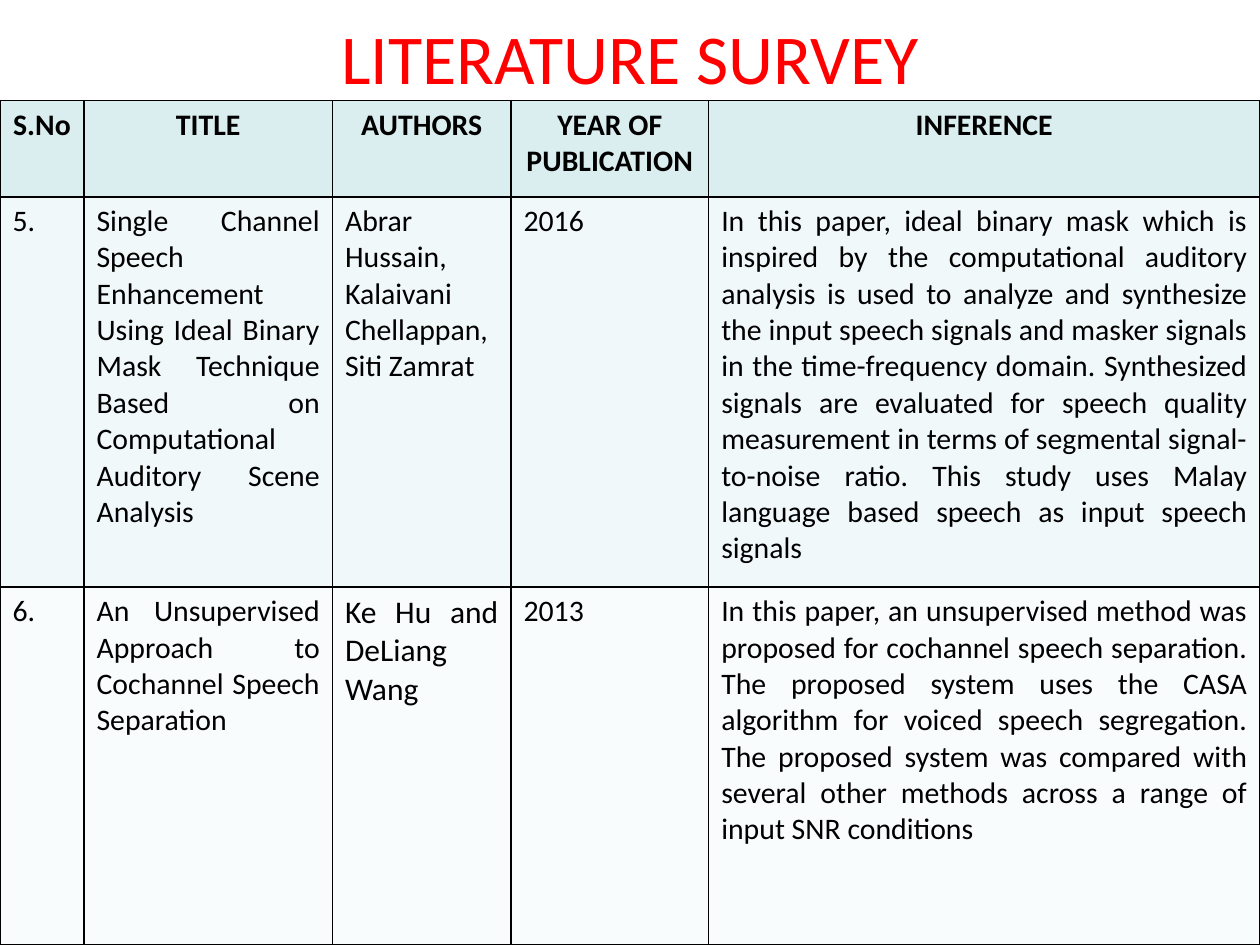
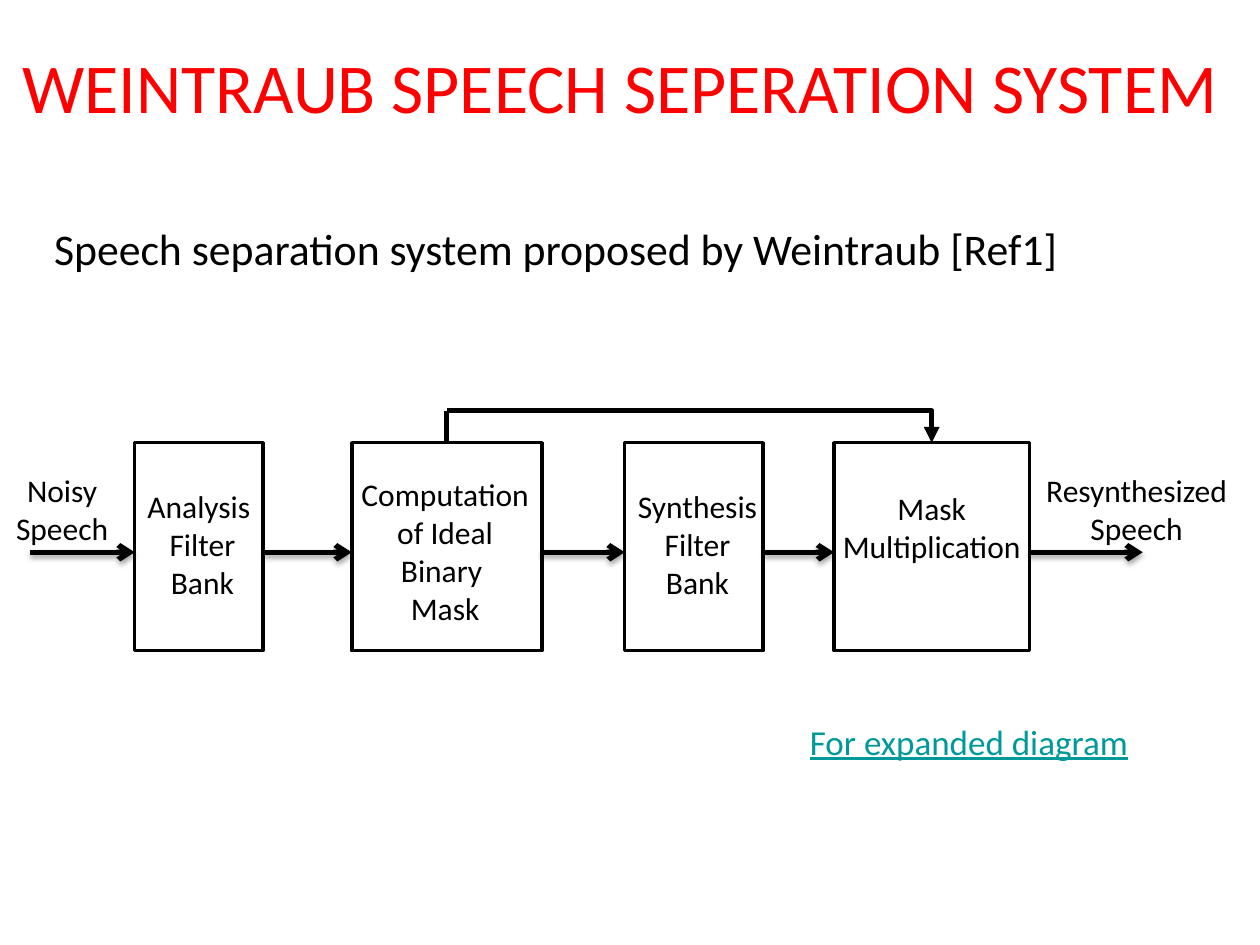
from lxml import etree
from pptx import Presentation
from pptx.dml.color import RGBColor
from pptx.enum.shapes import MSO_CONNECTOR as Connector, MSO_SHAPE as Shape
from pptx.enum.text import MSO_ANCHOR as Anchor, PP_ALIGN as Align
from pptx.oxml import parse_xml
from pptx.oxml.ns import qn
from pptx.util import Pt

BLACK = RGBColor(0x00, 0x00, 0x00)
WHITE = RGBColor(0xFF, 0xFF, 0xFF)
TITLE_RED = RGBColor(0xFF, 0x00, 0x00)
LINK_TEAL = RGBColor(0x00, 0x99, 0x99)
ROW_FILLS = [RGBColor(0xDA, 0xED, 0xEF), RGBColor(0xF1, 0xF8, 0xF9), RGBColor(0xF8, 0xFC, 0xFC)]
FONT = "Calibri"
DRAWING = 'xmlns:a="http://schemas.openxmlformats.org/drawingml/2006/main"'
BORDER = ('<a:{side} {ns} w="12700"><a:solidFill><a:srgbClr val="000000"/></a:solidFill></a:{side}>')
SHADOW = (f'<a:effectLst {DRAWING}><a:outerShdw blurRad="39370" dist="22860" dir="5400000" rotWithShape="0">'
          '<a:srgbClr val="000000"><a:alpha val="35000"/></a:srgbClr></a:outerShdw></a:effectLst>')
NO_EFFECT = f'<a:effectLst {DRAWING}/>'


def write(text_frame, text, size, color=BLACK, align=Align.CENTER, bold=False, underline=False):
    """Fill a text frame, one paragraph a line, in a single style."""
    text_frame.word_wrap = True
    text_frame.text = text
    for paragraph in text_frame.paragraphs:
        paragraph.alignment = align
        for run in paragraph.runs:
            run.font.name = FONT
            run.font.size = Pt(size)
            run.font.color.rgb = color
            run.font.bold = bold
            run.font.underline = underline


def style_line(connector, head=None, effect=NO_EFFECT):
    """Draw a connector black and 3 pt wide, with an optional arrowhead."""
    connector.line.color.rgb = BLACK
    connector.line.width = Pt(3)
    if head:
        etree.SubElement(connector.line._get_or_add_ln(), qn("a:tailEnd"), type=head)
    connector._element.spPr.append(parse_xml(effect))


presentation = Presentation()
presentation.slide_width = Pt(720)
presentation.slide_height = Pt(540)
blank = presentation.slide_layouts[6]

# Titles
slides = []
for title, left, top, width, height in [
    ("LITERATURE SURVEY", 36, -12.6, 648, 90),
    ("WEINTRAUB SPEECH SEPERATION SYSTEM", 2.2, 21.4, 704, 55.4),
]:
    slide = presentation.slides.add_slide(blank)
    title_box = slide.shapes.add_textbox(Pt(left), Pt(top), Pt(width), Pt(height))
    write(title_box.text_frame, title, 40, TITLE_RED)
    title_box.text_frame.word_wrap = False
    title_box.text_frame.vertical_anchor = Anchor.MIDDLE
    slides.append(slide)
survey_slide, system_slide = slides

# Literature survey table
survey_rows = [
    ["S.No", "TITLE", "AUTHORS", "YEAR OF PUBLICATION", "INFERENCE"],
    [
        "5.",
        "Single Channel Speech Enhancement Using Ideal Binary Mask Technique "
        "Based on Computational Auditory Scene Analysis",
        "Abrar Hussain, Kalaivani Chellappan, Siti Zamrat",
        "2016",
        "In this paper, ideal binary mask which is inspired by the computational auditory "
        "analysis is used to analyze and synthesize the input speech signals and masker "
        "signals in the time-frequency domain. Synthesized signals are evaluated for speech "
        "quality measurement in terms of segmental signal-to-noise ratio. This study uses "
        "Malay language based speech as input speech signals",
    ],
    [
        "6.",
        "An Unsupervised Approach to Cochannel Speech Separation",
        "Ke Hu and DeLiang Wang",
        "2013",
        "In this paper, an unsupervised method was proposed for cochannel speech separation. "
        "The proposed system uses the CASA algorithm for voiced speech segregation. The "
        "proposed system was compared with several other methods across a range of input "
        "SNR conditions",
    ],
]
column_widths = [48, 142, 102, 113, 315]
row_heights = [55, 223, 204.5]
table = survey_slide.shapes.add_table(
    len(survey_rows), len(column_widths), Pt(0), Pt(57.5), Pt(720), Pt(sum(row_heights))).table
for column, width in zip(table.columns, column_widths):
    column.width = Pt(width)
for row_index, (row, height) in enumerate(zip(table.rows, row_heights)):
    row.height = Pt(height)
    is_header = row_index == 0
    for cell, text in zip(row.cells, survey_rows[row_index]):
        size = 18 if text.startswith("Ke Hu") else 17
        write(cell.text_frame, text, size, bold=is_header,
              align=Align.CENTER if is_header else Align.JUSTIFY)
        properties = cell._tc.get_or_add_tcPr()
        for side in ("lnL", "lnR", "lnT", "lnB"):
            properties.append(parse_xml(BORDER.format(side=side, ns=DRAWING)))
        cell.fill.solid()
        cell.fill.fore_color.rgb = ROW_FILLS[row_index]

# Text around the block diagram
for text, left, top, width, height, size, color, align in [
    ("Speech separation system proposed by Weintraub [Ref1]",
     23.8, 123.4, 648, 38, 25, BLACK, Align.LEFT),
    ("For expanded diagram", 455.7, 408, 216, 32, 20, LINK_TEAL, Align.LEFT),
    ("Noisy Speech", -6.5, 265.7, 84, 51, 18, BLACK, Align.CENTER),
    ("Resynthesized Speech", 581, 265.7, 137, 51, 18, BLACK, Align.CENTER),
]:
    text_box = system_slide.shapes.add_textbox(Pt(left), Pt(top), Pt(width), Pt(height))
    write(text_box.text_frame, text, size, color, align, underline=color == LINK_TEAL)

# Processing stages; shift and lift move a label right and up inside its box
STAGE_TOP, STAGE_HEIGHT, SIDE_MARGIN = 253, 118.8, 4
stages = []
for label, left, width, shift, lift in [
    ("Analysis \nFilter\nBank", 77, 73.4, 2, 3),
    ("Computation of Ideal Binary \nMask", 201, 108.7, -1, -5),
    ("Synthesis \nFilter\nBank", 357, 79.2, 2, 3),
    ("Mask\nMultiplication", 476.6, 111.6, 0, 23),
]:
    stage = system_slide.shapes.add_shape(
        Shape.RECTANGLE, Pt(left), Pt(STAGE_TOP), Pt(width), Pt(STAGE_HEIGHT))
    stage.shadow.inherit = False
    stage.fill.solid()
    stage.fill.fore_color.rgb = WHITE
    stage.line.color.rgb = BLACK
    stage.line.width = Pt(2)
    text_frame = stage.text_frame
    write(text_frame, label, 18)
    text_frame.vertical_anchor = Anchor.MIDDLE
    text_frame.margin_left = Pt(SIDE_MARGIN + shift)
    text_frame.margin_right = Pt(SIDE_MARGIN - shift)
    text_frame.margin_top = Pt(max(-lift, 0))
    text_frame.margin_bottom = Pt(max(lift, 0))
    stages.append(stage)

# Signal flow from left to right, just below the middle to clear the outer labels
flow_y = Pt(315.6)
flow_starts = [Pt(17.3)] + [stage.left + stage.width for stage in stages]
flow_ends = [stage.left for stage in stages] + [Pt(653)]
for start_x, end_x in zip(flow_starts, flow_ends):
    arrow = system_slide.shapes.add_connector(Connector.STRAIGHT, start_x, flow_y, end_x, flow_y)
    style_line(arrow, "arrow", SHADOW)

# Mask path over the synthesis stage
mask_source, mask_target = stages[1], stages[3]
source_x, target_x = (stage.left + stage.width // 2 for stage in (mask_source, mask_target))
path_y = Pt(234.7)
riser = system_slide.shapes.add_connector(
    Connector.STRAIGHT, source_x, path_y, source_x, mask_source.top)
riser.end_connect(mask_source, 0)
style_line(riser)
mask_path = system_slide.shapes.add_connector(
    Connector.ELBOW, source_x, path_y, target_x, mask_target.top)
mask_path._element.spPr.find(qn("a:prstGeom")).set("prst", "bentConnector2")
style_line(mask_path, "triangle")

presentation.save("out.pptx")
